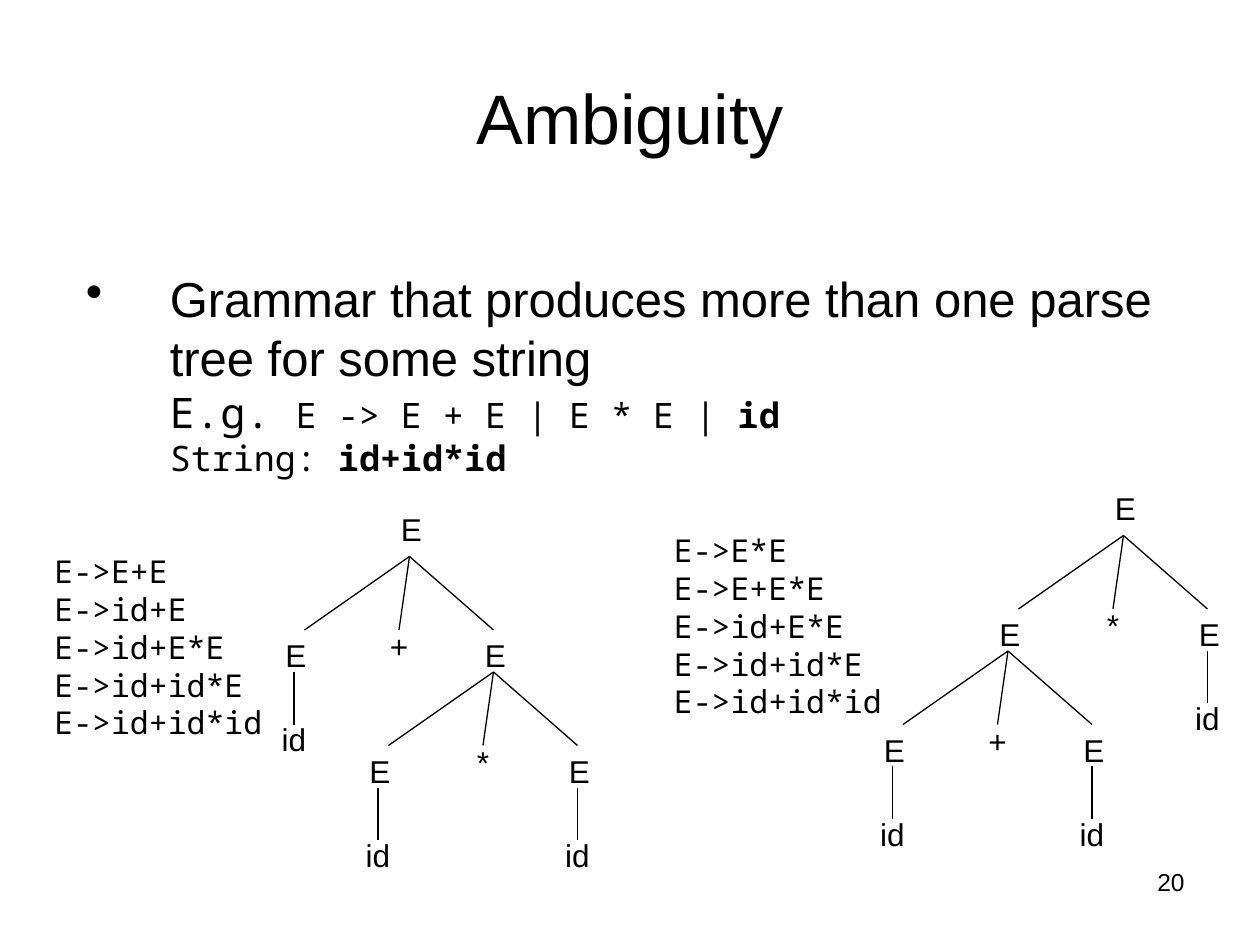
from dataclasses import dataclass

from lxml.etree import SubElement
from pptx import Presentation
from pptx.dml.color import RGBColor
from pptx.enum.shapes import MSO_CONNECTOR
from pptx.enum.text import MSO_ANCHOR, PP_ALIGN
from pptx.oxml.ns import qn
from pptx.util import Pt


@dataclass(frozen=True)
class Theme:
    ink: RGBColor = RGBColor(0, 0, 0)
    sans: str = "Arial"
    mono: str = "Noto Sans Mono"
    title: int = 40
    body: int = 28
    example: int = 24
    code: int = 20
    label: int = 18
    number: int = 14
    line: float = 0.75


THEME = Theme()
LEFT_X, RIGHT_X = -66, 48
LEG_ENDS = (-60, -6, 48)
LEG_DROP, LEVEL_DROP = 42, 66


def style(r, size, font=THEME.sans, bold=False):
    r.font.size = Pt(size)
    r.font.name = font
    r.font.bold = bold
    r.font.color.rgb = THEME.ink


def add_text(shapes, box, lines, size, font=THEME.sans, align=PP_ALIGN.LEFT):
    sp = shapes.add_textbox(*map(Pt, box))
    tf = sp.text_frame
    tf.word_wrap = True
    tf.text = "\n".join(lines)
    for p in tf.paragraphs:
        p.alignment = align
        for r in p.runs:
            style(r, size, font)
    return sp


def add_title(s, box):
    sp = add_text(s.shapes, box, ["Ambiguity"], THEME.title, align=PP_ALIGN.CENTER)
    sp.text_frame.vertical_anchor = MSO_ANCHOR.MIDDLE


def add_body(s, box):
    definition = "Grammar that produces more than one parse tree for some string"
    sp = add_text(s.shapes, box, [definition], THEME.body)
    tf = sp.text_frame
    pPr = tf.paragraphs[0]._p.get_or_add_pPr()
    pPr.set("indent", str(-Pt(48)))
    SubElement(pPr, qn("a:buChar")).set("char", "•")
    examples = (
        (("E.g. ", THEME.example, False),
         ("E -> E + E | E * E | ", THEME.code, False),
         ("id", THEME.code, True)),
        (("String: ", THEME.code, False), ("id+id*id", THEME.code, True)),
    )
    for example in examples:
        p = tf.add_paragraph()
        for text, size, bold in example:
            r = p.add_run()
            r.text = text
            style(r, size, THEME.mono, bold)
    for p in tf.paragraphs:
        p._p.get_or_add_pPr().set("marL", str(Pt(48)))


def add_line(shapes, x1, y1, x2, y2):
    c = shapes.add_connector(MSO_CONNECTOR.STRAIGHT, *map(Pt, (x1, y1, x2, y2)))
    c.line.color.rgb = THEME.ink
    c.line.width = Pt(THEME.line)
    SubElement(c._element.spPr, qn("a:effectLst"))
    return c


def add_label(shapes, x, y, text, width):
    box = (x - width / 2, y, width, 28.8)
    return add_text(shapes, box, [text], THEME.label, align=PP_ALIGN.CENTER)


def add_node(shapes, x, y, tree, rise=24):
    head = add_label(shapes, x, y - rise, "E", 24)
    if tree == "id":
        add_line(shapes, x, y, x, y + 30)
        add_label(shapes, x, y + 24, tree, 36)
        return head
    left, operator, right = tree
    legs = [add_line(shapes, x, y, x + dx, y + LEG_DROP) for dx in LEG_ENDS]
    add_label(shapes, x - 6, y + 37, operator, 36)
    add_node(shapes, x + LEFT_X, y + LEVEL_DROP, left)
    right_head = add_node(shapes, x + RIGHT_X, y + LEVEL_DROP, right)
    legs[-1].end_connect(right_head, 0)
    return head


def add_derivation(s, left, top, steps, root_x, tree):
    lines = [f"E->{step}" for step in steps]
    add_text(s.shapes, (left, top, 138, 115.2), lines, THEME.label, THEME.mono)
    group = s.shapes.add_group_shape()
    add_node(group.shapes, left + root_x, top + 6, tree, rise=30)


def add_number(s, box):
    add_text(s.shapes, box, ["20"], THEME.number, align=PP_ALIGN.RIGHT)


def main():
    prs = Presentation()
    prs.slide_width, prs.slide_height = Pt(720), Pt(540)
    s = prs.slides.add_slide(prs.slide_layouts[6])
    add_title(s, (36, 21.6, 648, 90))
    add_body(s, (42, 150, 678, 356))
    shared = ["id+E*E", "id+id*E", "id+id*id"]
    add_derivation(s, 24, 312, ["E+E", "id+E", *shared], 210,
                   ("id", "+", ("id", "*", "id")))
    add_derivation(s, 378, 300, ["E*E", "E+E*E", *shared], 264,
                   (("id", "+", "id"), "*", "id"))
    add_number(s, (516, 492, 168, 37.2))
    prs.save("out.pptx")


if __name__ == "__main__":
    main()
